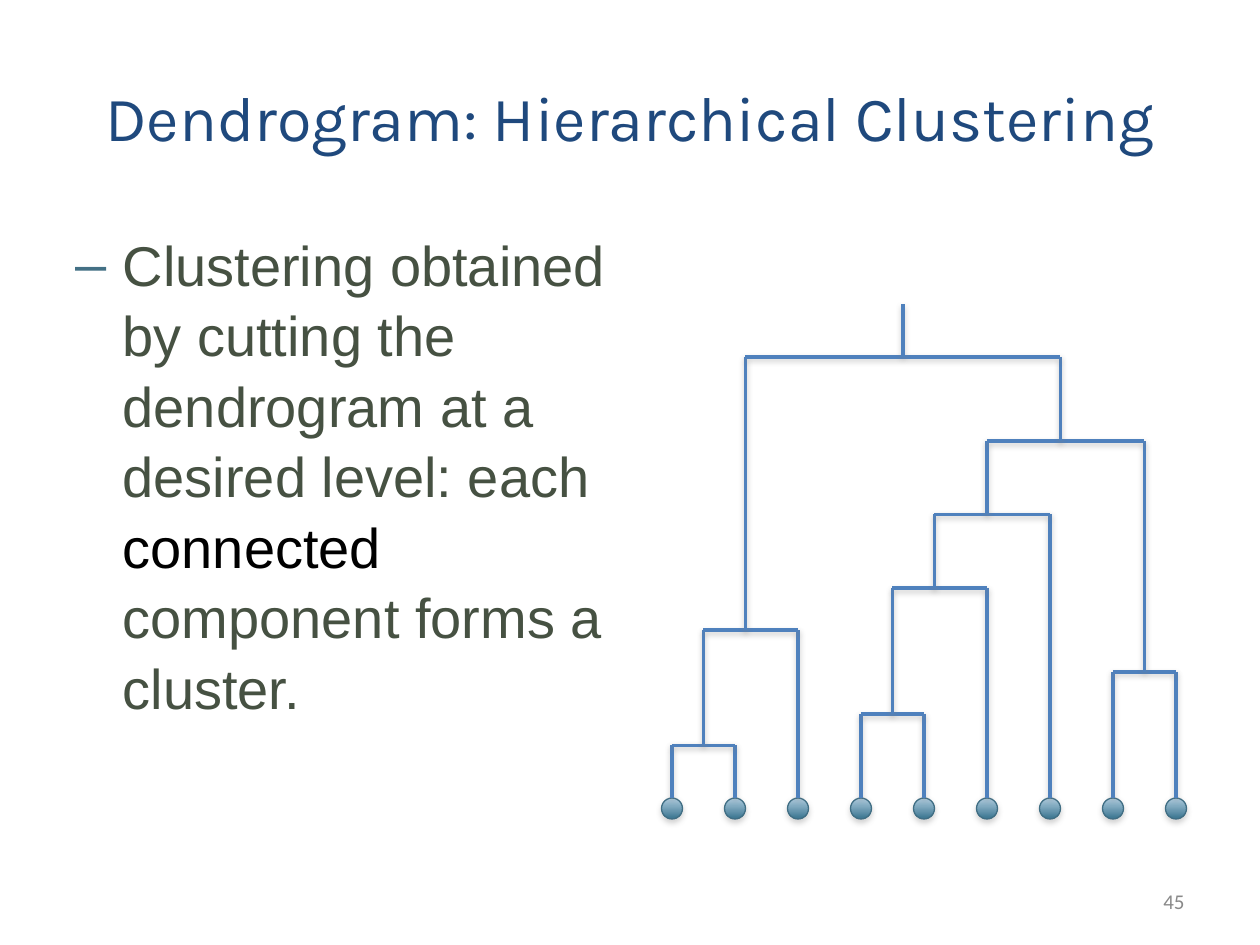
from dataclasses import dataclass

from lxml import etree
from pptx import Presentation
from pptx import util as u
from pptx.dml.color import RGBColor
from pptx.enum import shapes, text
from pptx.oxml import ns

EMU_PER_PX = 914400 // 120


@dataclass(frozen=True)
class Theme:
    title: str = "1F497D"
    body: str = "465142"
    emphasis: str = "000000"
    dash: str = "437085"
    number: str = "898989"
    branch: str = "4F81BD"
    leaf_top: str = "AFCCDF"
    leaf_bottom: str = "39748F"
    leaf_edge: str = "406E84"
    shadow: str = "808080"
    title_size: int = 36
    body_size: int = 32
    number_size: int = 12


@dataclass(frozen=True)
class TextStyle:
    font: str
    size: int
    align: text.PP_ALIGN
    anchor: text.MSO_ANCHOR


@dataclass(frozen=True)
class Merge:
    """Two clusters joined at height y; each child is a leaf index or a merge."""
    left: "Merge | int"
    right: "Merge | int"
    y: int


THEME = Theme()
LEAF_COUNT, LEAF_X, LEAF_Y, LEAF_GAP, LEAF_SIZE = 9, 640, 760, 60, 20
ROOT_TOP = 290
TREE = Merge(
    Merge(Merge(0, 1, 710), 2, 600),
    Merge(Merge(Merge(Merge(3, 4, 680), 5, 560), 6, 490), Merge(7, 8, 640), 420),
    340,
)


def px(value: int) -> u.Emu:
    return u.Emu(value * EMU_PER_PX)


def rgb(value: str) -> RGBColor:
    return RGBColor.from_string(value)


def add_text(slide, box: tuple[int, ...], runs: list[tuple[str, str]], style: TextStyle):
    """Add a wrapped one-paragraph text box from (wording, colour) runs."""
    frame = slide.shapes.add_textbox(*map(px, box)).text_frame
    frame.word_wrap = True
    frame.vertical_anchor = style.anchor
    paragraph = frame.paragraphs[0]
    paragraph.alignment = style.align
    for wording, colour in runs:
        run = paragraph.add_run()
        run.text = wording
        run.font.name = style.font
        run.font.size = u.Pt(style.size)
        run.font.color.rgb = rgb(colour)
    return paragraph


def add_dash_bullet(paragraph, indent: int) -> None:
    properties = paragraph._p.get_or_add_pPr()
    properties.set("marL", str(px(indent)))
    properties.set("indent", str(-px(indent)))
    colour = etree.SubElement(properties, ns.qn("a:buClr"))
    etree.SubElement(colour, ns.qn("a:srgbClr"), val=THEME.dash)
    etree.SubElement(properties, ns.qn("a:buFont"), typeface="Arial")
    etree.SubElement(properties, ns.qn("a:buChar"), char="–")


def add_shadow(shape, distance: int, opacity: int) -> None:
    """Give a shape or connector a soft downward shadow, after its line is set."""
    effects = etree.SubElement(shape._element.spPr, ns.qn("a:effectLst"))
    shadow = etree.SubElement(effects, ns.qn("a:outerShdw"), blurRad="40000",
                              dist=str(distance), dir="5400000", rotWithShape="0")
    colour = etree.SubElement(shadow, ns.qn("a:srgbClr"), val=THEME.shadow)
    etree.SubElement(colour, ns.qn("a:alpha"), val=str(opacity * 1000))


def add_leaf(slide, index: int):
    left = LEAF_X + index * LEAF_GAP - LEAF_SIZE // 2
    leaf = slide.shapes.add_shape(shapes.MSO_SHAPE.OVAL, px(left), px(LEAF_Y),
                                  px(LEAF_SIZE), px(LEAF_SIZE))
    leaf.fill.gradient()
    leaf.fill.gradient_angle = 270
    for stop, colour in zip(leaf.fill.gradient_stops, (THEME.leaf_top, THEME.leaf_bottom)):
        stop.color.rgb = rgb(colour)
    leaf.line.color.rgb = rgb(THEME.leaf_edge)
    leaf.line.width = u.Pt(0.75)
    add_shadow(leaf, 23000, 35)
    return leaf


def add_branch(slide, start: tuple[int, int], end: tuple[int, int]):
    branch = slide.shapes.add_connector(shapes.MSO_CONNECTOR.STRAIGHT,
                                        *map(px, start + end))
    branch.line.color.rgb = rgb(THEME.branch)
    branch.line.width = u.Pt(2)
    add_shadow(branch, 20000, 38)
    return branch


def draw_cluster(slide, node: Merge | int, top: int, leaves: list) -> int:
    """Draw a cluster with its stem rising to top; return the stem's x."""
    if isinstance(node, int):
        x = LEAF_X + node * LEAF_GAP
        add_branch(slide, (x, top), (x, LEAF_Y)).end_connect(leaves[node], 0)
        return x
    left = draw_cluster(slide, node.left, node.y, leaves)
    right = draw_cluster(slide, node.right, node.y, leaves)
    add_branch(slide, (left, node.y), (right, node.y))
    x = (left + right) // 20 * 10  # midpoint, snapped down to a 10 px grid
    add_branch(slide, (x, top), (x, node.y))
    return x


def main() -> None:
    presentation = Presentation()
    presentation.slide_width, presentation.slide_height = px(1200), px(900)
    slide = presentation.slides.add_slide(presentation.slide_layouts[6])

    # Title and slide number
    add_text(slide, (60, 36, 1080, 150),
             [("Dendrogram: Hierarchical Clustering", THEME.title)],
             TextStyle("Karla", THEME.title_size, text.PP_ALIGN.CENTER, text.MSO_ANCHOR.MIDDLE))
    add_text(slide, (860, 834, 280, 48), [("45", THEME.number)],
             TextStyle("Calibri", THEME.number_size, text.PP_ALIGN.RIGHT, text.MSO_ANCHOR.MIDDLE))

    # Explanation
    explanation = add_text(
        slide, (60, 210, 530, 594),
        [("Clustering obtained by cutting the dendrogram at a desired level: each ", THEME.body),
         ("connected", THEME.emphasis),
         (" component forms a cluster.", THEME.body)],
        TextStyle("Arial", THEME.body_size, text.PP_ALIGN.LEFT, text.MSO_ANCHOR.TOP))
    explanation.line_spacing = 1.05
    add_dash_bullet(explanation, 45)

    # Dendrogram
    leaves = [add_leaf(slide, index) for index in range(LEAF_COUNT)]
    draw_cluster(slide, TREE, ROOT_TOP, leaves)

    presentation.save("out.pptx")


if __name__ == "__main__":
    main()
